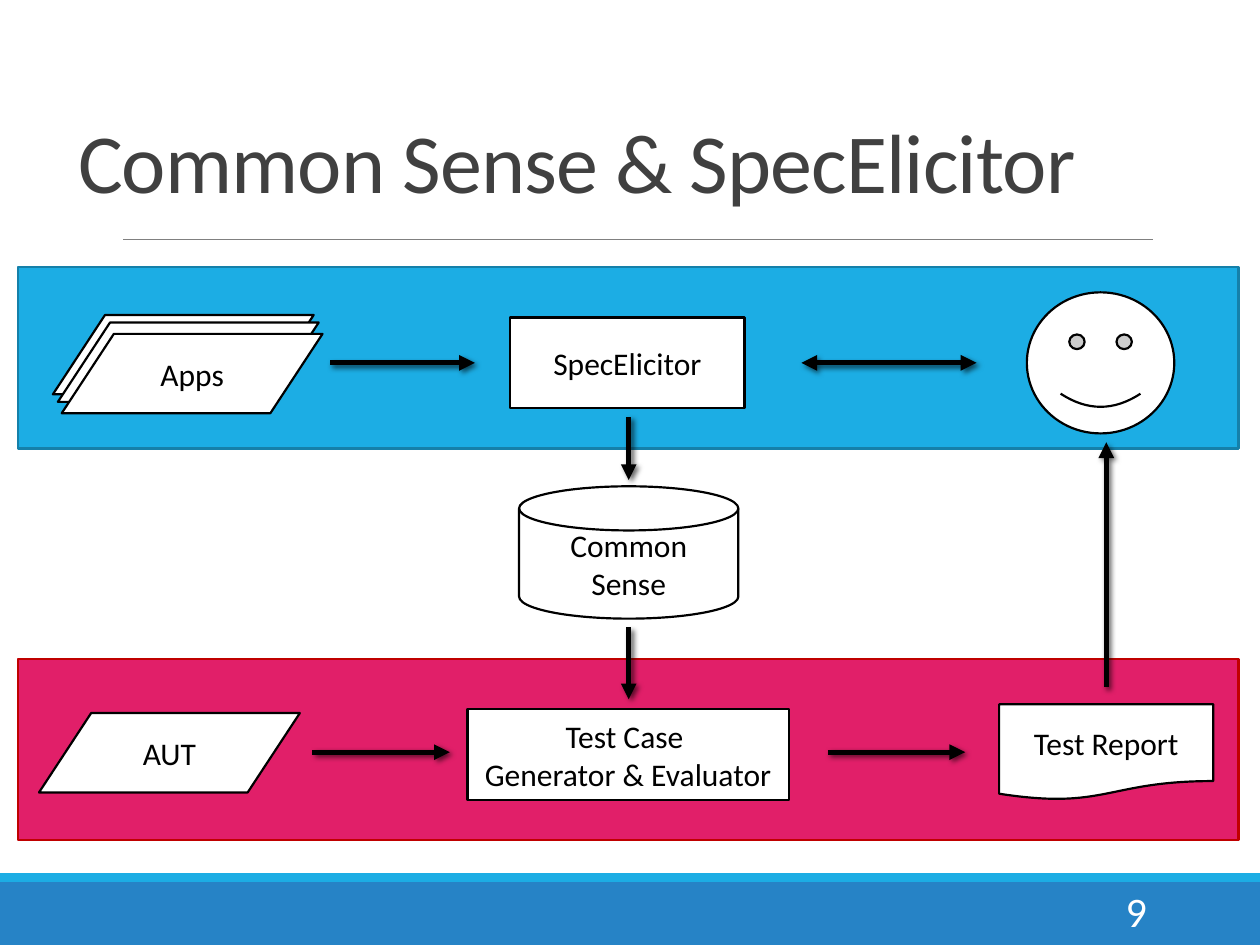
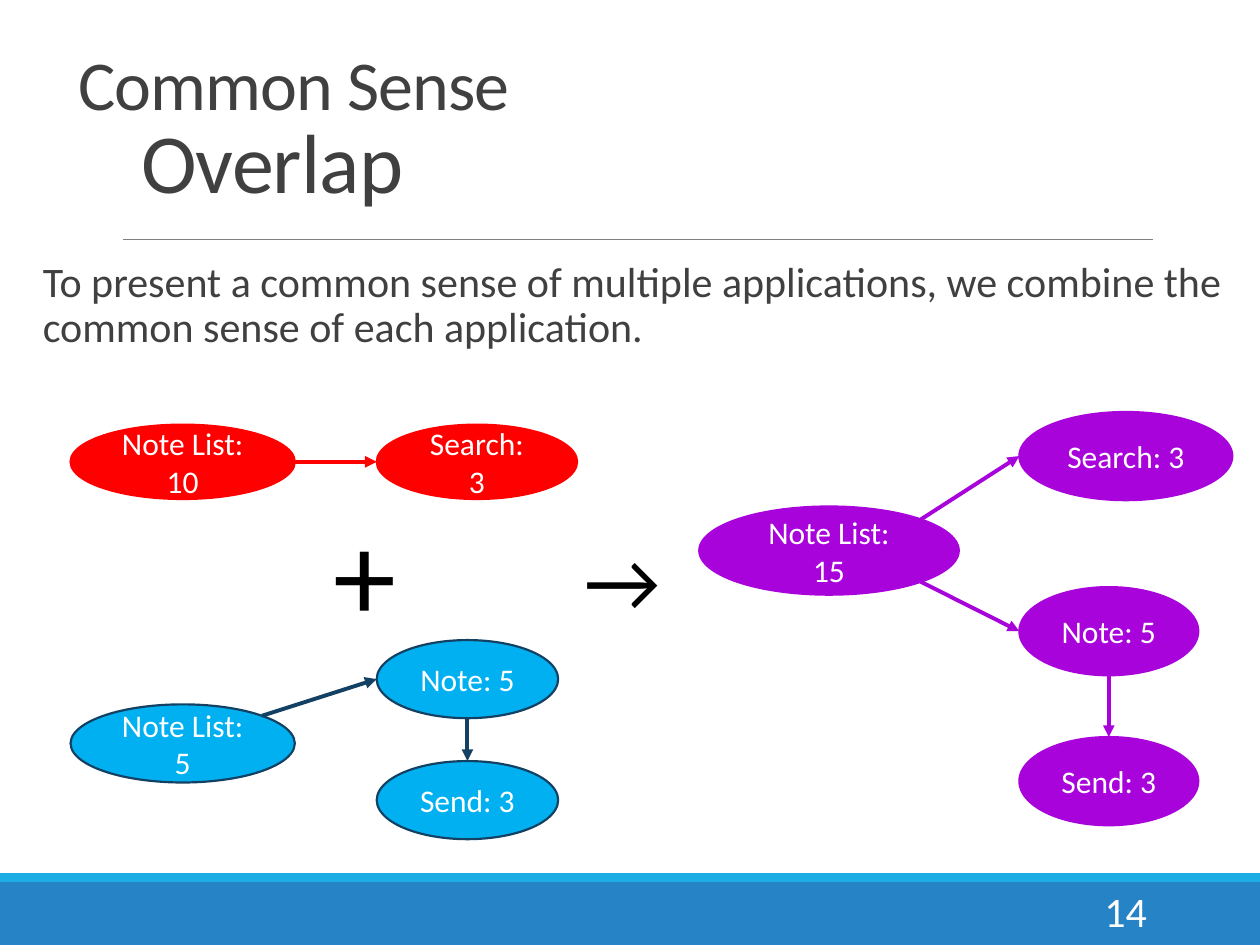
from math import cos, radians, sin

from lxml import etree
from pptx import Presentation
from pptx.dml.color import RGBColor
from pptx.enum.shapes import MSO_CONNECTOR, MSO_SHAPE
from pptx.enum.text import MSO_ANCHOR, MSO_AUTO_SIZE, PP_ALIGN
from pptx.oxml import parse_xml
from pptx.oxml.ns import nsdecls, qn
from pptx.util import Inches, Pt

RECTANGLE, ELLIPSE = MSO_SHAPE.RECTANGLE, MSO_SHAPE.OVAL
PROCESS, DATA = MSO_SHAPE.FLOWCHART_PROCESS, MSO_SHAPE.FLOWCHART_DATA
DISK, DOCUMENT = MSO_SHAPE.FLOWCHART_MAGNETIC_DISK, MSO_SHAPE.FLOWCHART_DOCUMENT
SMILEY = MSO_SHAPE.SMILEY_FACE
STRAIGHT = MSO_CONNECTOR.STRAIGHT
LEFT, CENTER, RIGHT = PP_ALIGN.LEFT, PP_ALIGN.CENTER, PP_ALIGN.RIGHT
TOP, MIDDLE, BOTTOM = MSO_ANCHOR.TOP, MSO_ANCHOR.MIDDLE, MSO_ANCHOR.BOTTOM
NO_FIT, GROW = MSO_AUTO_SIZE.NONE, MSO_AUTO_SIZE.SHAPE_TO_FIT_TEXT

WHITE = RGBColor(0xFF, 0xFF, 0xFF)
BLACK = RGBColor(0, 0, 0)
INK = RGBColor(0x40, 0x40, 0x40)
RULE_GRAY = RGBColor(0x80, 0x80, 0x80)
FOOTER_BLUE = RGBColor(0x26, 0x83, 0xC6)
SKY = RGBColor(0x1C, 0xAD, 0xE4)
SKY_EDGE = RGBColor(0x15, 0x80, 0xA9)
PINK = RGBColor(0xE1, 0x1F, 0x69)
PINK_EDGE = RGBColor(0xC0, 0, 0)
RED = RGBColor(0xFF, 0, 0)
CYAN = RGBColor(0, 0xB0, 0xF0)
NAVY = RGBColor(0x13, 0x41, 0x63)
PURPLE = RGBColor(0xA8, 0x03, 0xDB)

FONT = "Calibri"
LABEL_SIZE = 18
TITLE_BOX = (0.52, 0.13, 9.01, 1.59)
BODY_BOX = (0.24, 2.02, 9.49, 0.7)
TITLE_FRAME = dict(vertical_anchor=BOTTOM, auto_size=NO_FIT, word_wrap=True)
TITLE_PARAGRAPH = dict(alignment=LEFT, line_spacing=0.85, space_before=Pt(0))
BODY_FRAME = dict(vertical_anchor=TOP, auto_size=NO_FIT, word_wrap=True,
                  margin_left=0, margin_right=0)
BODY_PARAGRAPH = dict(alignment=LEFT, line_spacing=0.9,
                      space_before=Pt(12), space_after=Pt(2))
SHADOW = (
    f'<a:effectLst {nsdecls("a")}><a:outerShdw blurRad="38100" dist="25400" '
    'dir="2700000"><a:srgbClr val="000000"><a:alpha val="60000"/></a:srgbClr>'
    '</a:outerShdw></a:effectLst>')
NO_EFFECTS = f'<a:effectLst {nsdecls("a")}/>'


def apply(target, values):
    for name, value in values.items():
        setattr(target, name, value)


def style_runs(paragraph, size, color):
    for run in paragraph.runs:
        apply(run.font, dict(name=FONT, size=Pt(size)))
        run.font.color.rgb = color


def site(shape, degrees):
    """Point on an ellipse's outline in EMU, clockwise from its right end."""
    angle = radians(degrees)
    return (round(shape.left + shape.width / 2 * (1 + cos(angle))),
            round(shape.top + shape.height / 2 * (1 + sin(angle))))


class Deck:
    def __init__(self):
        self.prs = Presentation()
        self.prs.slide_width, self.prs.slide_height = Inches(10), Inches(7.5)
        self.slide = None

    def new_slide(self, layout, title_lines, number):
        """Start a slide with bands, title rule, title and page number."""
        self.slide = self.prs.slides.add_slide(self.prs.slide_layouts[layout])
        self.shape(RECTANGLE, (0, 7, 10, 0.5), FOOTER_BLUE)
        self.shape(RECTANGLE, (0, 6.93, 10, 0.07), SKY)
        self.line((0.98, 1.9), (9.15, 1.9), RULE_GRAY, 0.5, ends=())
        self.title(title_lines)
        self.text(str(number), (8.12, 7.03, 1.08, 0.4), 24, WHITE, RIGHT,
                  dict(vertical_anchor=MIDDLE, word_wrap=True))

    def place(self, placeholder, box):
        names = ("left", "top", "width", "height")
        apply(placeholder, dict(zip(names, map(Inches, box))))

    def title(self, lines):
        title = self.slide.shapes.title
        self.place(title, TITLE_BOX)
        apply(title.text_frame, TITLE_FRAME)
        paragraph = title.text_frame.paragraphs[0]
        apply(paragraph, TITLE_PARAGRAPH)
        for index, (words, size) in enumerate(lines):
            if index:
                paragraph.add_line_break()
            run = paragraph.add_run()
            run.text = words
            apply(run.font, dict(name=FONT, size=Pt(size)))
            run.font.color.rgb = INK
            run.font._element.set("spc", "-50")

    def body(self, words):
        body = self.slide.placeholders[1]
        self.place(body, BODY_BOX)
        apply(body.text_frame, BODY_FRAME)
        paragraph = body.text_frame.paragraphs[0]
        paragraph.text = words
        apply(paragraph, BODY_PARAGRAPH)
        style_runs(paragraph, 24, INK)
        properties = paragraph._p.get_or_add_pPr()
        properties.set("marL", str(Inches(0.1)))
        properties.set("indent", "0")
        etree.SubElement(properties, qn("a:buNone"))

    def text(self, words, box, size, color, align, frame_format):
        frame = self.slide.shapes.add_textbox(*map(Inches, box)).text_frame
        apply(frame, frame_format)
        paragraph = frame.paragraphs[0]
        paragraph.text = words
        paragraph.alignment = align
        style_runs(paragraph, size, color)

    def shape(self, kind, box, fill, edge=None, label="", color=BLACK):
        shape = self.slide.shapes.add_shape(kind, *map(Inches, box))
        shape.shadow.inherit = False
        shape.fill.solid()
        shape.fill.fore_color.rgb = fill
        if edge is None:
            shape.line.fill.background()
        else:
            shape.line.color.rgb = edge
            shape.line.width = Pt(1.25)
        if label:
            frame = shape.text_frame
            apply(frame, dict(word_wrap=True, vertical_anchor=MIDDLE))
            paragraph = frame.paragraphs[0]
            paragraph.text = label
            paragraph.alignment = CENTER
            style_runs(paragraph, LABEL_SIZE, color)
        return shape

    def flow_box(self, kind, box, label=""):
        return self.shape(kind, box, WHITE, BLACK, label)

    def node(self, box, label, fill, edge):
        return self.shape(ELLIPSE, box, fill, edge, label, WHITE)

    def line(self, start, end, color, width, ends=("tailEnd",), effects=NO_EFFECTS):
        """Draw a line between points in inches, with arrowheads at ends."""
        return self.connect(map(Inches, start), map(Inches, end),
                            color, width, ends, effects)

    def connect(self, start, end, color, width, ends=("tailEnd",), effects=NO_EFFECTS):
        connector = self.slide.shapes.add_connector(STRAIGHT, *start, *end)
        connector.line.color.rgb = color
        connector.line.width = Pt(width)
        outline = connector.line._get_or_add_ln()
        for end_name in ends:
            etree.SubElement(outline, qn(f"a:{end_name}"), type="triangle")
        connector._element.spPr.append(parse_xml(effects))

    def flow_arrow(self, start, end, ends=("tailEnd",)):
        self.line(start, end, BLACK, 3, ends, SHADOW)

    def link(self, source, source_angle, target, target_angle, color):
        self.connect(site(source, source_angle), site(target, target_angle),
                     color, 2.25)


def build_workflow(deck):
    deck.new_slide(5, [("Common Sense & SpecElicitor", 48)], 9)
    for top, fill, edge in ((5.23, PINK, PINK_EDGE), (2.12, SKY, SKY_EDGE)):
        deck.shape(RECTANGLE, (0.14, top, 9.69, 1.44), fill, edge)

    app_stack = [deck.flow_box(DATA, (left, top, 2.07, 0.63), label)
                 for left, top, label in ((0.42, 2.5, ""), (0.46, 2.56, ""),
                                          (0.49, 2.65, "Apps"))]
    deck.slide.shapes.add_group_shape(app_stack)

    for kind, box, label in (
        (PROCESS, (4.05, 2.52, 1.86, 0.72), "SpecElicitor"),
        (SMILEY, (8.15, 2.32, 1.17, 1.12), ""),
        (DISK, (4.12, 3.86, 1.74, 1.05), "Common Sense"),
        (DATA, (0.31, 5.66, 2.07, 0.63), "AUT"),
        (PROCESS, (3.71, 5.63, 2.55, 0.72), "Test Case \vGenerator & Evaluator"),
        (DOCUMENT, (7.93, 5.59, 1.7, 0.76), "Test Report"),
    ):
        deck.flow_box(kind, box, label)

    upper, lower, middle, user = 2.88, 5.97, 4.99, 8.78
    deck.flow_arrow((2.62, upper), (3.77, upper))
    deck.flow_arrow((6.36, upper), (7.75, upper), ("headEnd", "tailEnd"))
    for top, bottom in ((3.31, 3.81), (4.98, 5.55)):
        deck.flow_arrow((middle, top), (middle, bottom))
    for left in (2.48, 6.57):
        deck.flow_arrow((left, lower), (left + 1.09, lower))
    deck.flow_arrow((user, 5.45), (user, 3.51))


def build_overlap(deck):
    deck.new_slide(1, [("Common Sense", 40), ("\tOverlap", 48)], 14)
    deck.body("To present a common sense of multiple applications, "
              "we combine the common sense of each application.")

    right, lower_right, down, left, up, upper_right = 0, 45, 90, 180, 270, 315

    first_list = deck.node((0.56, 3.37, 1.78, 0.59), "Note List: 10", RED, RED)
    first_search = deck.node((2.99, 3.37, 1.59, 0.59), "Search: 3", RED, RED)
    deck.link(first_list, right, first_search, left, RED)

    second_list = deck.node((0.56, 5.59, 1.78, 0.62), "Note List: 5", CYAN, NAVY)
    second_note = deck.node((2.99, 5.08, 1.44, 0.62), "Note: 5", CYAN, NAVY)
    second_send = deck.node((2.99, 6.04, 1.44, 0.62), "Send: 3", CYAN, NAVY)
    deck.link(second_list, upper_right, second_note, left, NAVY)
    deck.link(second_note, down, second_send, up, NAVY)

    merged_list = deck.node((5.55, 4.02, 2.06, 0.7), "Note List: 15", PURPLE, PURPLE)
    merged_note = deck.node((8.09, 4.66, 1.42, 0.7), "Note: 5", PURPLE, PURPLE)
    merged_search = deck.node((8.09, 3.27, 1.69, 0.7), "Search: 3", PURPLE, PURPLE)
    merged_send = deck.node((8.09, 5.85, 1.42, 0.7), "Send: 3", PURPLE, PURPLE)
    deck.link(merged_list, lower_right, merged_note, left, PURPLE)
    deck.link(merged_list, upper_right, merged_search, left, PURPLE)
    deck.link(merged_note, down, merged_send, up, PURPLE)

    for sign, box, size in (("+", (2.55, 3.88, 0.71, 1.31), 72),
                            ("→", (4.54, 4.14, 0.86, 0.91), 48)):
        deck.text(sign, box, size, BLACK, LEFT,
                  dict(word_wrap=False, auto_size=GROW))


def main():
    deck = Deck()
    build_workflow(deck)
    build_overlap(deck)
    deck.prs.save("out.pptx")


if __name__ == "__main__":
    main()
